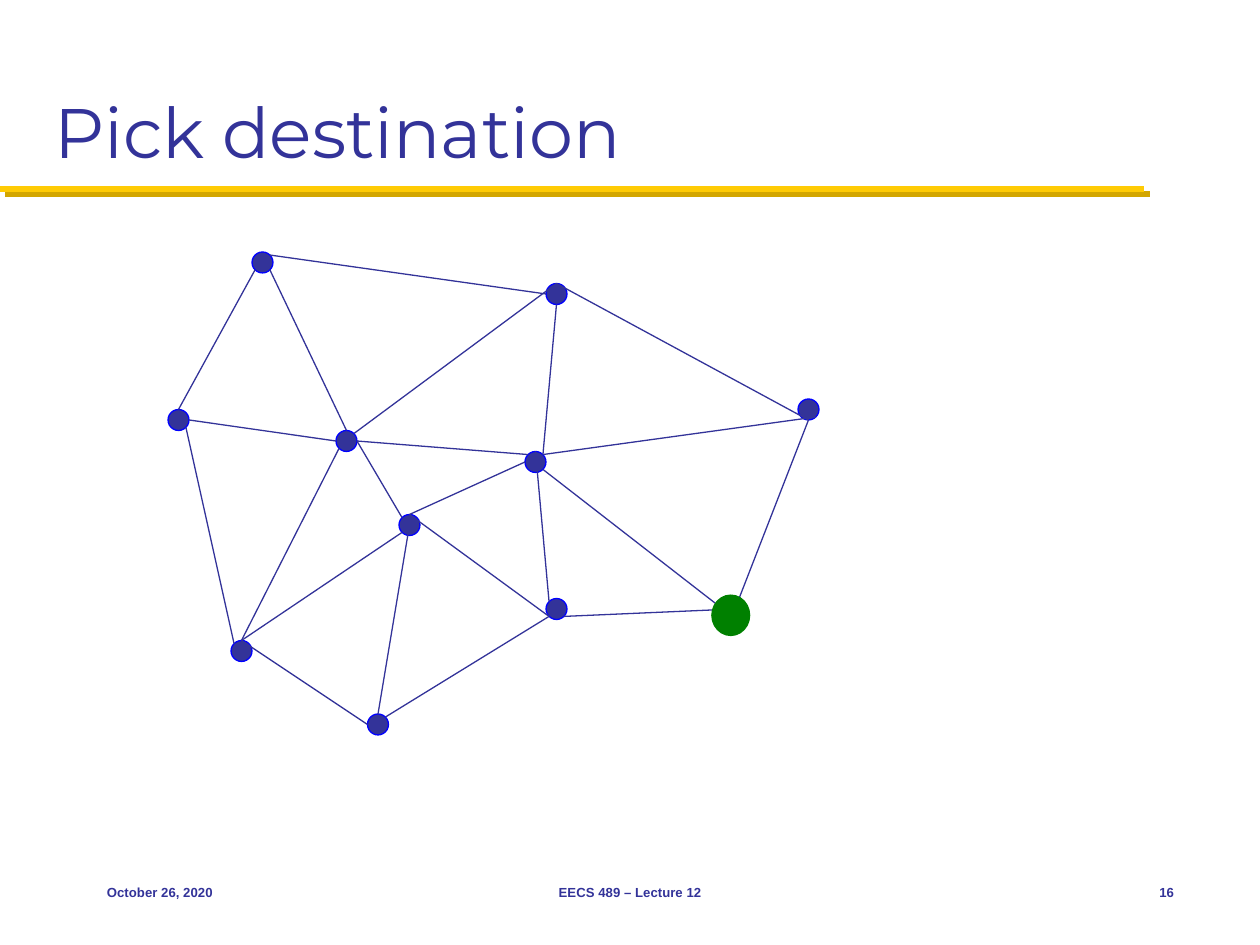
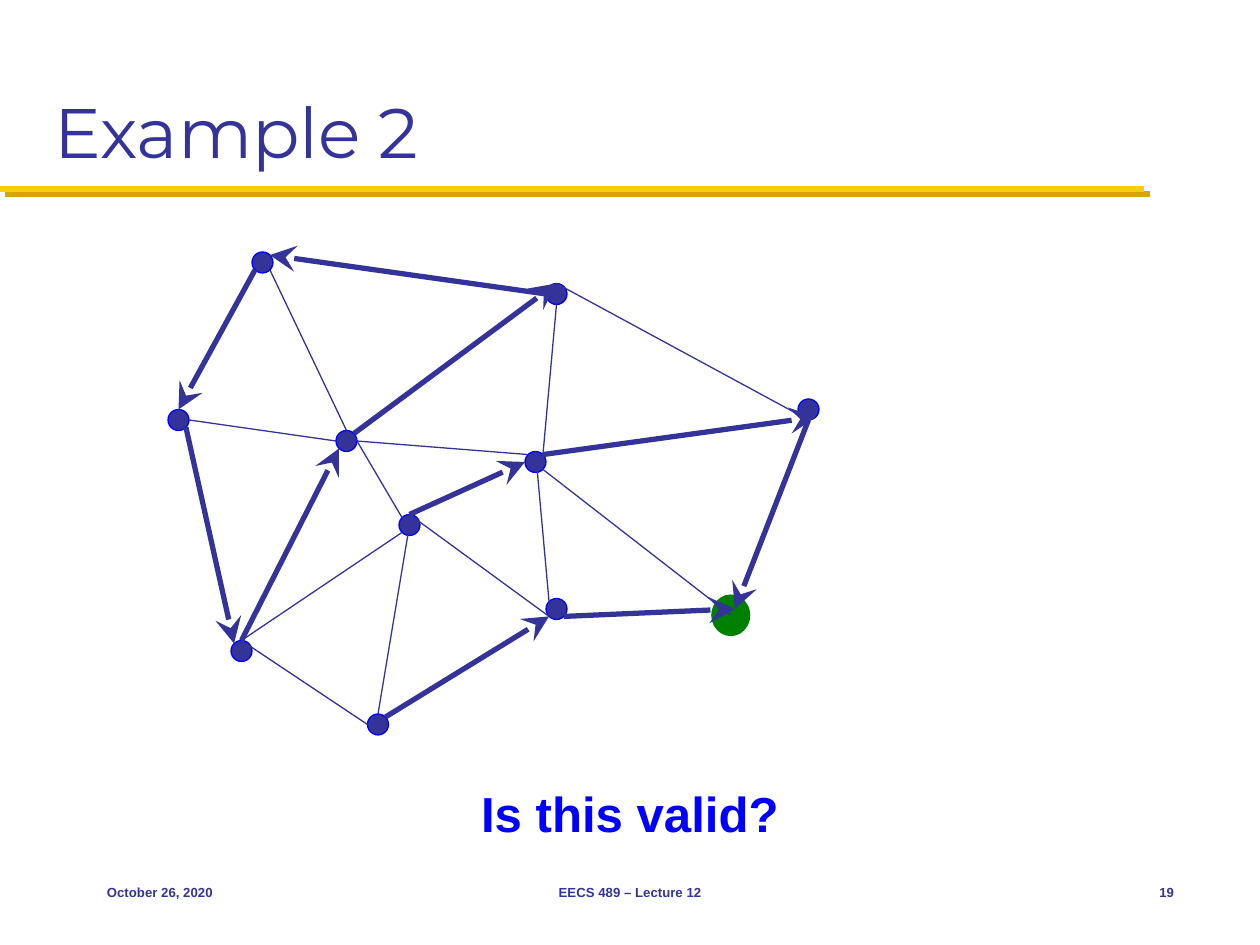
from lxml import etree
from pptx import Presentation
from pptx.dml.color import RGBColor
from pptx.enum.shapes import MSO_CONNECTOR, MSO_SHAPE
from pptx.enum.text import MSO_ANCHOR, PP_ALIGN
from pptx.oxml.ns import qn
from pptx.util import Inches, Pt

STRAIGHT = MSO_CONNECTOR.STRAIGHT
OVAL = MSO_SHAPE.OVAL
TOP, MIDDLE, BOTTOM = MSO_ANCHOR.TOP, MSO_ANCHOR.MIDDLE, MSO_ANCHOR.BOTTOM
LEFT, CENTER, RIGHT = PP_ALIGN.LEFT, PP_ALIGN.CENTER, PP_ALIGN.RIGHT

COLORS = {
    "ink": "333399",
    "outline": "0000FF",
    "goal": "008000",
    "rule": "FFCB05",
    "rule_shadow": "D3A600",
}
CELLS_PER_INCH = 12
RULE_ROW = 18
RULE_END = 109

ROUTERS = {
    "north_west": (25, 25),
    "west": (17, 40),
    "north": (53, 28),
    "south_east": (53, 58),
    "south": (36, 69),
    "inner_west": (33, 42),
    "east": (77, 39),
    "inner_south": (39, 50),
    "south_west": (23, 62),
    "center": (51, 44),
}
GOAL_CENTER = (69.6, 58.6)
POINTS = {**ROUTERS, "goal": (70, 59), "goal_center": GOAL_CENTER}

DIAGONAL = 0.71
COMPASS = {
    "c": (0, 0),
    "n": (0, -1),
    "s": (0, 1),
    "w": (-1, 0),
    "e": (1, 0),
    "nw": (-DIAGONAL, -DIAGONAL),
    "ne": (DIAGONAL, -DIAGONAL),
    "sw": (-DIAGONAL, DIAGONAL),
    "se": (DIAGONAL, DIAGONAL),
}

PLAIN_LINKS = [
    ("north_west", "se", "inner_west", "n"),
    ("inner_west", "e", "inner_south", "nw"),
    ("center", "se", "goal_center", "c"),
    ("north", "s", "center", "ne"),
    ("north", "n", "east", "s"),
    ("south_west", "n", "south", "w"),
    ("inner_south", "n", "south_east", "sw"),
    ("center", "n", "south_east", "nw"),
    ("inner_south", "c", "south", "n"),
    ("inner_west", "e", "center", "nw"),
    ("west", "e", "inner_west", "w"),
    ("south_west", "n", "inner_south", "sw"),
]
ROUTED_LINKS = [
    ("north_west", "sw", "west", "n"),
    ("west", "se", "south_west", "nw"),
    ("south_east", "se", "goal", "n"),
    ("south", "ne", "south_east", "sw"),
    ("south_west", "n", "inner_west", "sw"),
    ("inner_south", "n", "center", "w"),
    ("center", "ne", "east", "se"),
    ("north", "w", "north_west", "ne"),
    ("inner_west", "ne", "north", "n"),
    ("east", "s", "goal", "n"),
]


def cells(count):
    return Inches(count / CELLS_PER_INCH)


def color(name):
    return RGBColor.from_string(COLORS[name])


def add_text(page, text, left, top, width, height, size, font="Arial",
             ink="ink", bold=True, align=LEFT, anchor=MIDDLE):
    box = page.shapes.add_textbox(*map(cells, (left, top, width, height)))
    frame = box.text_frame
    frame.word_wrap = True
    frame.vertical_anchor = anchor
    para = frame.paragraphs[0]
    para.alignment = align
    span = para.add_run()
    span.text = text
    span.font.name = font
    span.font.size = Pt(size)
    span.font.bold = bold
    span.font.color.rgb = color(ink)


def add_line(page, start, end, ink="ink", weight=0.75):
    line = page.shapes.add_connector(STRAIGHT, *map(cells, (*start, *end)))
    line.line.color.rgb = color(ink)
    line.line.width = Pt(weight)
    effects = etree.SubElement(line._element.spPr, qn("a:effectLst"))
    return line, effects


def add_rule(page):
    _, effects = add_line(page, (0, RULE_ROW), (RULE_END, RULE_ROW), "rule", 3.5)
    shadow = etree.SubElement(effects, qn("a:outerShdw"), blurRad="0",
                              dist=str(Pt(4.2)), dir="2700000",
                              algn="ctr", rotWithShape="0")
    etree.SubElement(shadow, qn("a:srgbClr"), val=COLORS["rule_shadow"])


def add_dot(page, center, width=2, height=2, fill="ink", outline="outline"):
    column, row = center
    dot = page.shapes.add_shape(OVAL, cells(column - width / 2),
                                cells(row - height / 2),
                                cells(width), cells(height))
    dot.shadow.inherit = False
    dot.fill.solid()
    dot.fill.fore_color.rgb = color(fill)
    dot.line.color.rgb = color(outline)
    dot.line.width = Pt(0.75)


def add_goal(page):
    add_dot(page, GOAL_CENTER, 3.6, 3.84, "goal", "goal")


def rim(name, side):
    return tuple(middle + shift for middle, shift in zip(POINTS[name], COMPASS[side]))


def add_link(page, link, directed=False):
    start, start_side, end, end_side = link
    line, _ = add_line(page, rim(start, start_side), rim(end, end_side),
                       weight=3 if directed else 0.75)
    if directed:
        etree.SubElement(line.line._get_or_add_ln(), qn("a:tailEnd"),
                         type="stealth", w="lg", len="lg")


def add_network(page, directed=False):
    for center in ROUTERS.values():
        add_dot(page, center)
    for link in PLAIN_LINKS:
        add_link(page, link)
    for link in ROUTED_LINKS:
        add_link(page, link, directed)


def add_page(deck, title, number):
    page = deck.slides.add_slide(deck.slide_layouts[6])
    add_rule(page)
    add_text(page, title, 4, 2, 112, 15, 40, font="Montserrat",
             bold=False, anchor=BOTTOM)
    for text, left, width, align in (
        ("October 26, 2020", 9, 25, LEFT),
        ("EECS 489 – Lecture 12", 41, 38, CENTER),
        (str(number), 105, 8, RIGHT),
    ):
        add_text(page, text, left, 82, width, 6, 7.5, align=align)
    return page


def main():
    deck = Presentation()
    deck.slide_width, deck.slide_height = Inches(10), Inches(7.5)

    page = add_page(deck, "Pick destination", 16)
    add_network(page)
    add_goal(page)

    page = add_page(deck, "Example 2", 19)
    add_goal(page)
    add_network(page, directed=True)
    add_text(page, "Is this valid?", 21, 74, 78, 6.8, 28.1,
             ink="outline", align=CENTER, anchor=TOP)

    deck.save("out.pptx")


if __name__ == "__main__":
    main()
